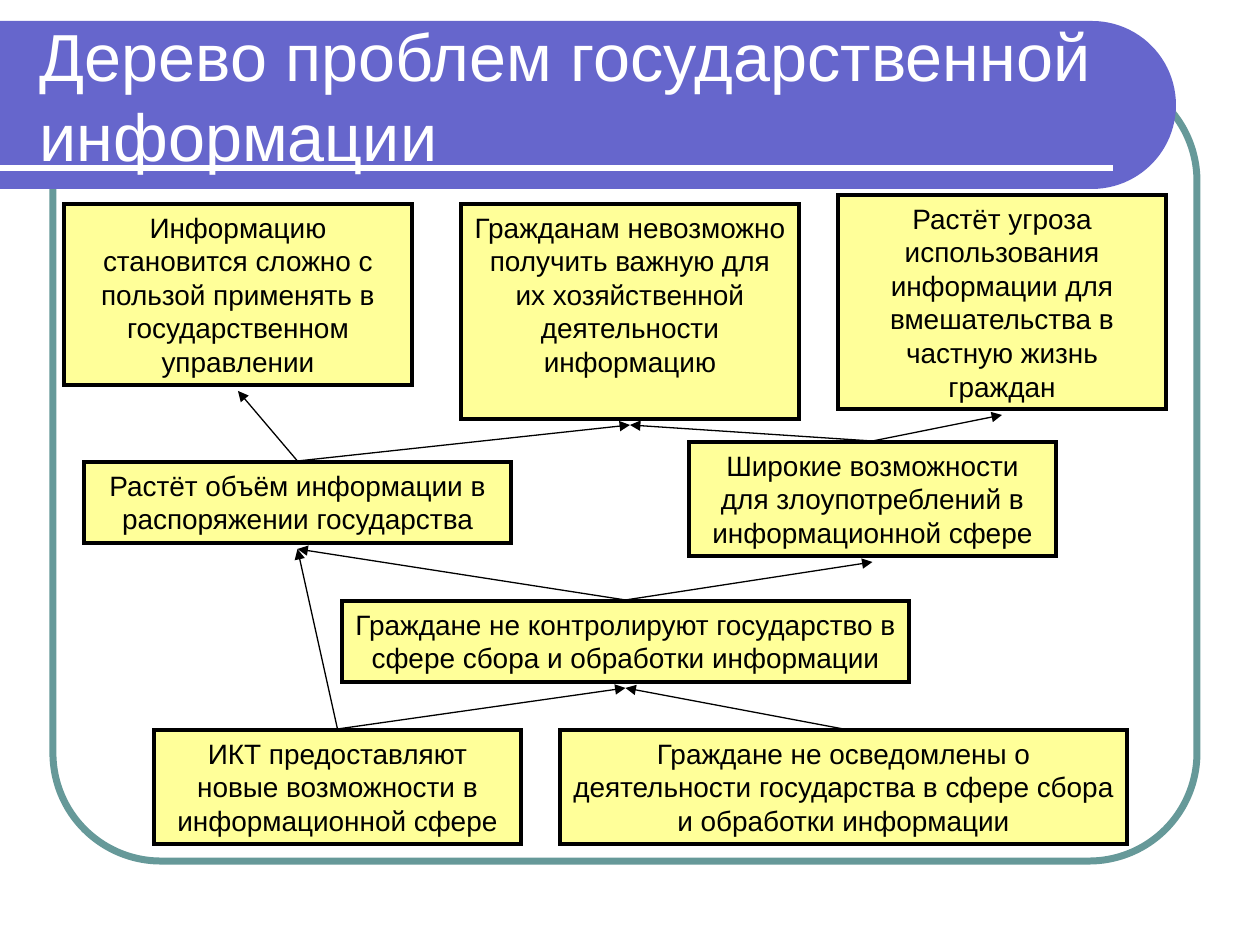
from dataclasses import dataclass
from math import cos, pi, sin

from pptx import Presentation
from pptx.dml.color import RGBColor
from pptx.enum.shapes import MSO_CONNECTOR, MSO_SHAPE
from pptx.enum.text import MSO_ANCHOR, MSO_AUTO_SIZE, PP_ALIGN
from pptx.oxml.ns import qn
from pptx.util import Emu, Pt
from lxml.etree import SubElement

PX = 7258  # EMU in one pixel, 126 px to the inch


@dataclass(frozen=True)
class Theme:
    font: str = "Arial"
    title_size: int = 38
    body_size: int = 16
    white: str = "FFFFFF"
    black: str = "000000"
    band: str = "6666CC"
    frame: str = "669999"
    box: str = "FFFF99"


THEME = Theme()

# Problems of the tree: left, top, width, height, wording
PROBLEMS = {
    "unaware": (560, 730, 567, 114, "Граждане не осведомлены о деятельности "
                "государства в сфере сбора и обработки информации"),
    "no_control": (342, 601, 567, 81, "Граждане не контролируют государство в "
                   "сфере сбора и обработки информации"),
    "technology": (154, 730, 367, 114, "ИКТ предоставляют новые возможности в "
                   "информационной сфере"),
    "abuse": (689, 442, 367, 114, "Широкие возможности для злоупотреблений в "
              "информационной сфере"),
    "volume": (84, 462, 427, 81, "Растёт объём информации в распоряжении "
               "государства"),
    "hard_to_use": (64, 204, 348, 181, "Информацию становится сложно с пользой "
                    "применять в государственном управлении"),
    "no_access": (461, 204, 338, 215, "Гражданам невозможно получить важную для "
                  "их хозяйственной деятельности информацию"),
    "privacy": (838, 195, 328, 214, "Растёт угроза использования информации для "
                "вмешательства в частную жизнь граждан"),
}

# Cause and effect
LINKS = [
    ("technology", "no_control"), ("unaware", "no_control"),
    ("no_control", "abuse"), ("no_control", "volume"),
    ("technology", "volume"), ("volume", "hard_to_use"),
    ("abuse", "privacy"), ("volume", "no_access"), ("abuse", "no_access"),
]


def px(*lengths):
    return [Emu(round(length * PX)) for length in lengths]


def set_values(target, values):
    for name, value in values.items():
        setattr(target, name, value)


def style_shape(shape, fill=None, line=None, width=0):
    shape.shadow.inherit = False
    if fill:
        shape.fill.solid()
        shape.fill.fore_color.rgb = RGBColor.from_string(fill)
    else:
        shape.fill.background()
    if line:
        shape.line.color.rgb = RGBColor.from_string(line)
        shape.line.width = Pt(width)
        # Square corners on the outline
        SubElement(shape.line._get_or_add_ln(), qn("a:miter"), lim="800000")
    else:
        shape.line.fill.background()


def write_text(shape, text, size, color, align, anchor):
    frame = shape.text_frame
    set_values(frame, {"word_wrap": True, "auto_size": MSO_AUTO_SIZE.NONE,
                       "vertical_anchor": anchor})
    para = frame.paragraphs[0]
    set_values(para, {"alignment": align, "line_spacing": 1.0})
    span = para.add_run()
    span.text = text
    set_values(span.font, {"name": THEME.font, "size": Pt(size), "bold": False})
    span.font.color.rgb = RGBColor.from_string(color)


def add_line(page, start, end, color, width, arrow=False):
    line = page.shapes.add_connector(MSO_CONNECTOR.STRAIGHT, *px(*start, *end))
    line.line.color.rgb = RGBColor.from_string(color)
    line.line.width = Pt(width)
    if arrow:
        SubElement(line.line._get_or_add_ln(), qn("a:tailEnd"), type="triangle")
    SubElement(line._element.spPr, qn("a:effectLst"))


def add_frame(page):
    frame = page.shapes.add_shape(MSO_SHAPE.ROUNDED_RECTANGLE,
                                  *px(53, 73, 1144, 788))
    frame.adjustments[0] = 0.137
    style_shape(frame, line=THEME.frame, width=4)


def add_band(page, top=21, right=1176, radius=84, steps=48):
    """Title band with a half-round right end."""
    angles = [pi * step / steps - pi / 2 for step in range(steps + 1)]
    arc = [(right - radius + radius * cos(angle),
            top + radius + radius * sin(angle)) for angle in angles]
    builder = page.shapes.build_freeform(*px(0, top), scale=1.0)
    builder.add_line_segments([px(*point) for point in arc]
                              + [px(0, top + 2 * radius)], close=True)
    style_shape(builder.convert_to_shape(), fill=THEME.band)
    add_line(page, (0, 168), (1113, 168), THEME.white, 3)


def place_title(page, text):
    title = page.shapes.title
    names = ("left", "top", "width", "height")
    set_values(title, dict(zip(names, px(27, 32, 1105, 126))))
    write_text(title, text, THEME.title_size, THEME.white,
               PP_ALIGN.LEFT, MSO_ANCHOR.MIDDLE)
    page.shapes._spTree.append(title._element)  # in front of the band


def add_problem(page, left, top, width, height, text):
    box = page.shapes.add_shape(MSO_SHAPE.RECTANGLE,
                                *px(left, top, width, height))
    style_shape(box, THEME.box, THEME.black, 2.25)
    write_text(box, text, THEME.body_size, THEME.black,
               PP_ALIGN.CENTER, MSO_ANCHOR.TOP)


def add_link(page, cause, effect):
    """Arrow from the top of the cause to just below the effect."""
    left, top, width, _, _ = PROBLEMS[cause]
    start = (left + width / 2, top - 1)
    left, top, width, height, _ = PROBLEMS[effect]
    end = (left + width / 2, top + height + 6)
    add_line(page, start, end, THEME.black, 0.75, arrow=True)


def main():
    deck = Presentation()
    deck.slide_width, deck.slide_height = px(1260, 945)
    page = deck.slides.add_slide(deck.slide_layouts[5])

    # Background decoration and title
    add_frame(page)
    add_band(page)
    place_title(page, "Дерево проблем государственной информации")

    # Problem tree
    for problem in PROBLEMS.values():
        add_problem(page, *problem)
    for cause, effect in LINKS:
        add_link(page, cause, effect)

    deck.save("out.pptx")


if __name__ == "__main__":
    main()
